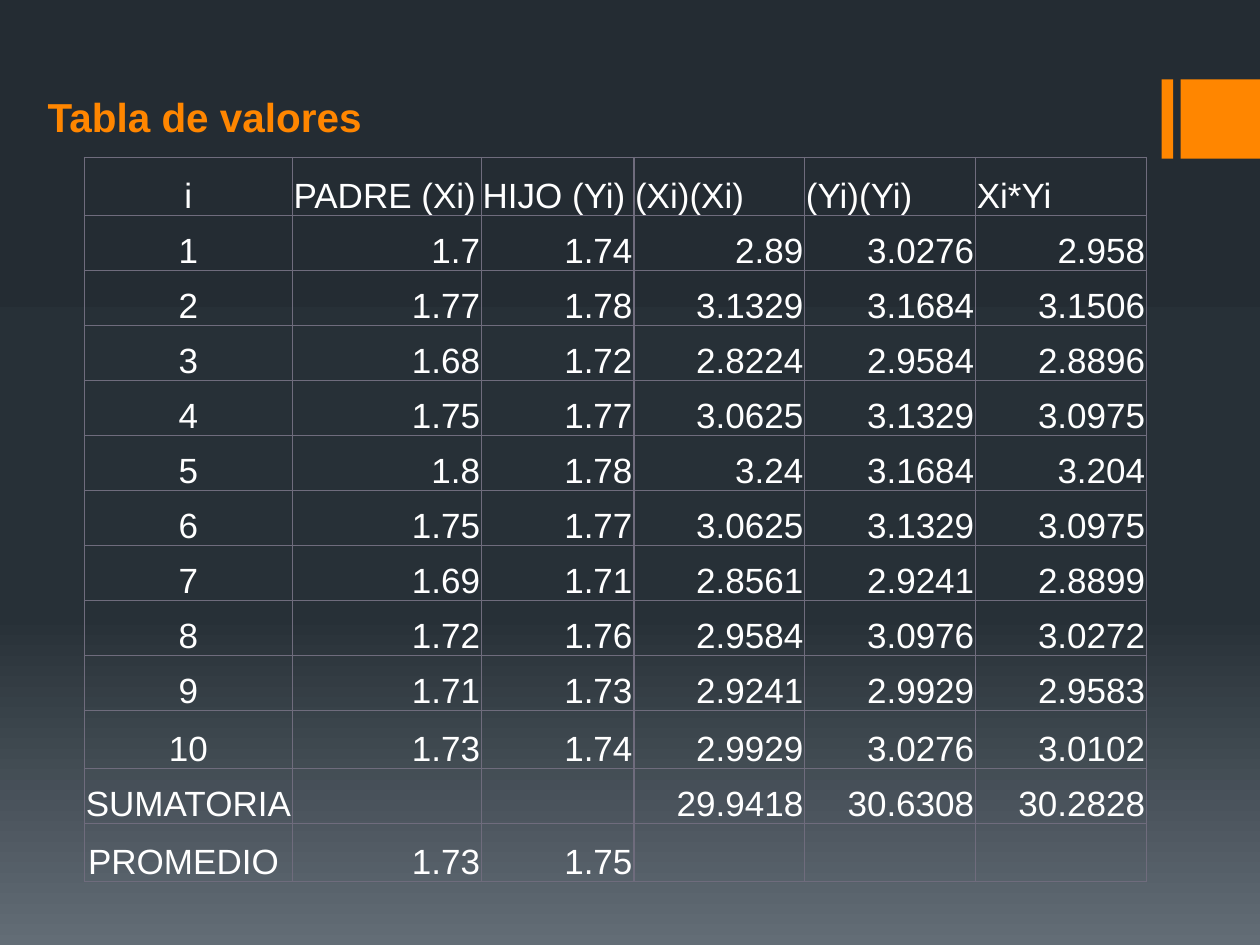
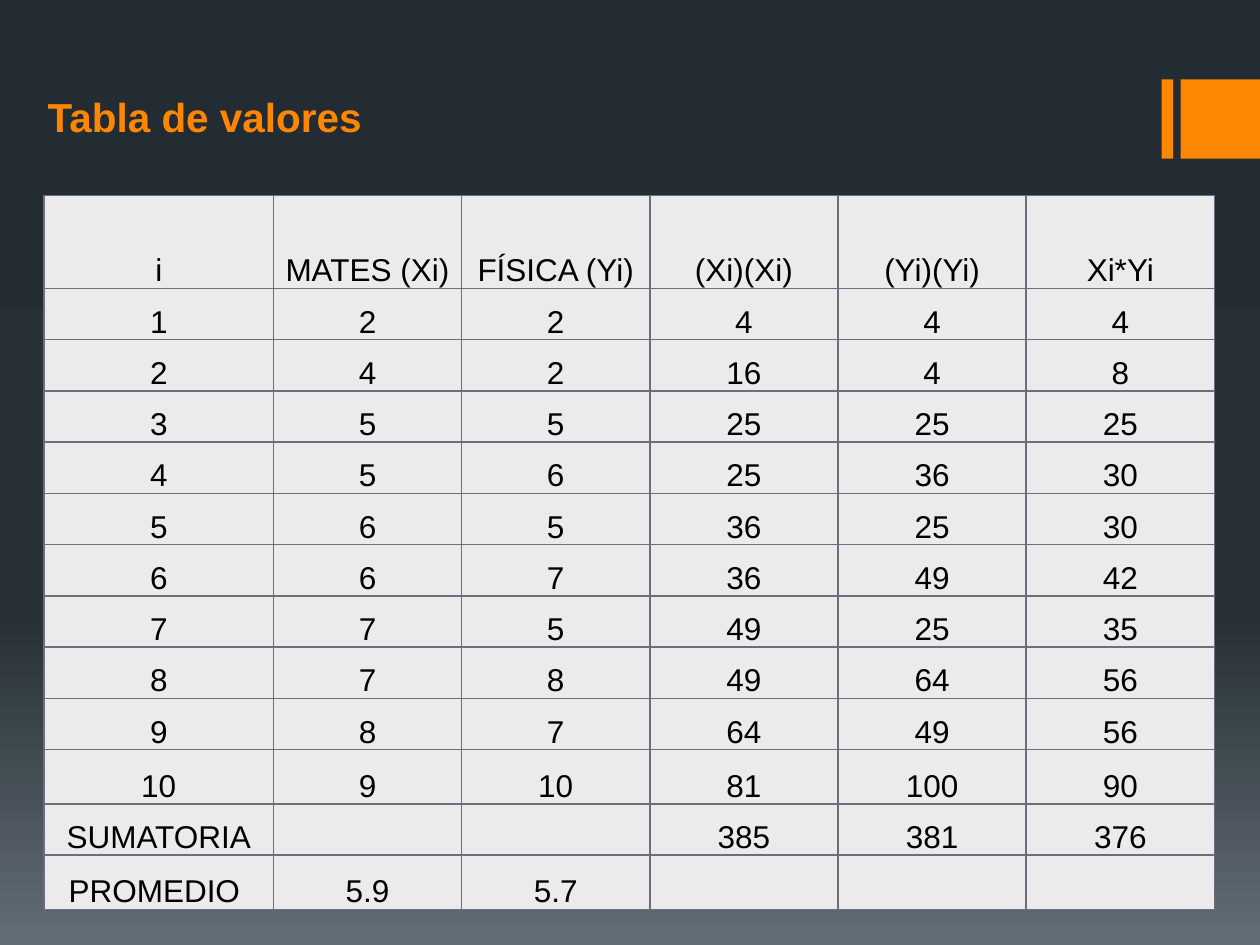
from copy import deepcopy

from lxml import etree
from pptx import Presentation
from pptx.dml.color import RGBColor
from pptx.enum.shapes import MSO_SHAPE
from pptx.enum.text import MSO_ANCHOR, PP_ALIGN
from pptx.oxml.ns import qn
from pptx.util import Inches, Pt

RECTANGLE = MSO_SHAPE.RECTANGLE
BOTTOM = MSO_ANCHOR.BOTTOM
LEFT, CENTER, RIGHT = PP_ALIGN.LEFT, PP_ALIGN.CENTER, PP_ALIGN.RIGHT

COLORS = {
    "accent": "FF8600",
    "border": "6F6C7D",
    "light_cell": "EBEBEC",
    "white": "FFFFFF",
    "black": "000000",
}
BACKGROUND_STOPS = [(0, "242C33"), (0.65, "273037"), (1, "636D76")]
FONT = "Arial"
TITLE_FORMAT = {"name": FONT, "size": Pt(23.1), "bold": True}
CELL_FORMAT = {
    "vertical_anchor": BOTTOM,
    "margin_left": Inches(0.01),
    "margin_right": Inches(0.01),
    "margin_top": Inches(0.01),
    "margin_bottom": 0,
}

# Observed pairs (Xi, Yi)
HEIGHTS = [(1.7, 1.74), (1.77, 1.78), (1.68, 1.72), (1.75, 1.77), (1.8, 1.78),
           (1.75, 1.77), (1.69, 1.71), (1.72, 1.76), (1.71, 1.73), (1.73, 1.74)]
GRADES = [(2, 2), (4, 2), (5, 5), (5, 6), (6, 5),
          (6, 7), (7, 5), (7, 8), (8, 7), (9, 10)]


def set_attributes(target, values):
    for name, value in values.items():
        setattr(target, name, value)


def rgb(name):
    return RGBColor.from_string(COLORS[name])


def paint_background(slide):
    fill = slide.background.fill
    fill.gradient()
    fill.gradient_angle = 270
    stop_list = next(slide.element.iter(qn("a:gsLst")))
    stop_list.append(deepcopy(stop_list[-1]))
    for stop, (position, color) in zip(fill.gradient_stops, BACKGROUND_STOPS):
        stop.color.rgb = RGBColor.from_string(color)
        stop.position = position


def add_accent_bar(slide, left, width):
    bar = slide.shapes.add_shape(
        RECTANGLE, Inches(left), Inches(0.63), Inches(width), Inches(0.63))
    bar.shadow.inherit = False
    bar.fill.solid()
    bar.fill.fore_color.rgb = rgb("accent")
    bar.line.fill.background()


def add_title(slide, text):
    box = slide.shapes.add_textbox(
        Inches(0.28), Inches(0.68), Inches(2.74), Inches(0.55))
    box.text_frame.word_wrap = True
    run = box.text_frame.paragraphs[0].add_run()
    run.text = text
    set_attributes(run.font, TITLE_FORMAT)
    run.font.color.rgb = rgb("accent")


def add_base_slide(presentation):
    """Slide with the shared background, accent bars and title."""
    slide = presentation.slides.add_slide(presentation.slide_layouts[6])
    paint_background(slide)
    add_accent_bar(slide, 9.22, 0.09)
    add_accent_bar(slide, 9.37, 0.63)
    add_title(slide, "Tabla de valores")
    return slide


def regression_rows(x_label, y_label, pairs):
    """Header, one row per pair, then the sums and the means."""
    products = [(x * x, y * y, x * y) for x, y in pairs]
    sums = [sum(column) for column in zip(*products)]
    means = [sum(column) / len(pairs) for column in zip(*pairs)]
    rows = [["i", x_label, y_label, "(Xi)(Xi)", "(Yi)(Yi)", "Xi*Yi"]]
    for number, (pair, product) in enumerate(zip(pairs, products), 1):
        rows.append([f"{value:g}" for value in (number, *pair, *product)])
    rows.append(["SUMATORIA", "", ""] + [f"{value:g}" for value in sums])
    rows.append(["PROMEDIO "] + [f"{value:g}" for value in means] + [""] * 3)
    return rows


def add_cell_borders(cell):
    properties = cell._tc.get_or_add_tcPr()
    for index, side in enumerate(("a:lnL", "a:lnR", "a:lnT", "a:lnB")):
        line = etree.Element(qn(side), w=str(Pt(1)))
        fill = etree.SubElement(line, qn("a:solidFill"))
        etree.SubElement(fill, qn("a:srgbClr"), val=COLORS["border"])
        properties.insert(index, line)


def format_cell(cell, text, alignment, size, text_color, fill_color):
    set_attributes(cell, CELL_FORMAT)
    if fill_color:
        cell.fill.solid()
        cell.fill.fore_color.rgb = rgb(fill_color)
    else:
        cell.fill.background()
    add_cell_borders(cell)
    if text:
        paragraph = cell.text_frame.paragraphs[0]
        paragraph.alignment = alignment
        run = paragraph.add_run()
        run.text = text
        set_attributes(run.font, {"name": FONT, "size": Pt(size), "bold": False})
        run.font.color.rgb = rgb(text_color)


def add_value_table(slide, rows, box, first_widths, tall_rows, alignments,
                    size, text_color, fill_color=None):
    """Columns and rows without a given size share the remaining space."""
    width, height = box[2:]
    row_count, column_count = len(rows), len(rows[0])
    table = slide.shapes.add_table(
        row_count, column_count, *(Inches(value) for value in box)).table
    table.first_row = table.horz_banding = False

    free_columns = column_count - len(first_widths)
    equal_width = (width - sum(first_widths)) / free_columns
    for column, value in zip(table.columns,
                             first_widths + [equal_width] * free_columns):
        column.width = Inches(value)

    equal_height = (height - sum(tall_rows.values())) / (row_count - len(tall_rows))
    for index, row in enumerate(table.rows):
        row.height = Inches(tall_rows.get(index, equal_height))

    header_alignment, value_alignment = alignments
    for row_index, values in enumerate(rows):
        for column_index, text in enumerate(values):
            alignment = value_alignment if row_index else header_alignment
            if column_index == 0:
                alignment = CENTER
            format_cell(table.cell(row_index, column_index), text, alignment,
                        size, text_color, fill_color)


def main():
    presentation = Presentation()
    presentation.slide_width = Inches(10)
    presentation.slide_height = Inches(7.5)

    # Heights of fathers and sons
    add_value_table(
        add_base_slide(presentation),
        regression_rows("PADRE (Xi)", "HIJO (Yi)", HEIGHTS),
        box=(0.67, 1.25, 8.43, 5.75), first_widths=[1.65, 1.5, 1.21],
        tall_rows={0: 0.46, 10: 0.46, 12: 0.46}, alignments=(LEFT, RIGHT),
        size=20, text_color="white")

    # Grades in mathematics and physics
    add_value_table(
        add_base_slide(presentation),
        regression_rows("MATES (Xi)", "FÍSICA (Yi)", GRADES),
        box=(0.35, 1.55, 9.29, 5.67), first_widths=[1.82],
        tall_rows={0: 0.74, 10: 0.43, 12: 0.43}, alignments=(CENTER, CENTER),
        size=18, text_color="black", fill_color="light_cell")

    presentation.save("out.pptx")


if __name__ == "__main__":
    main()
